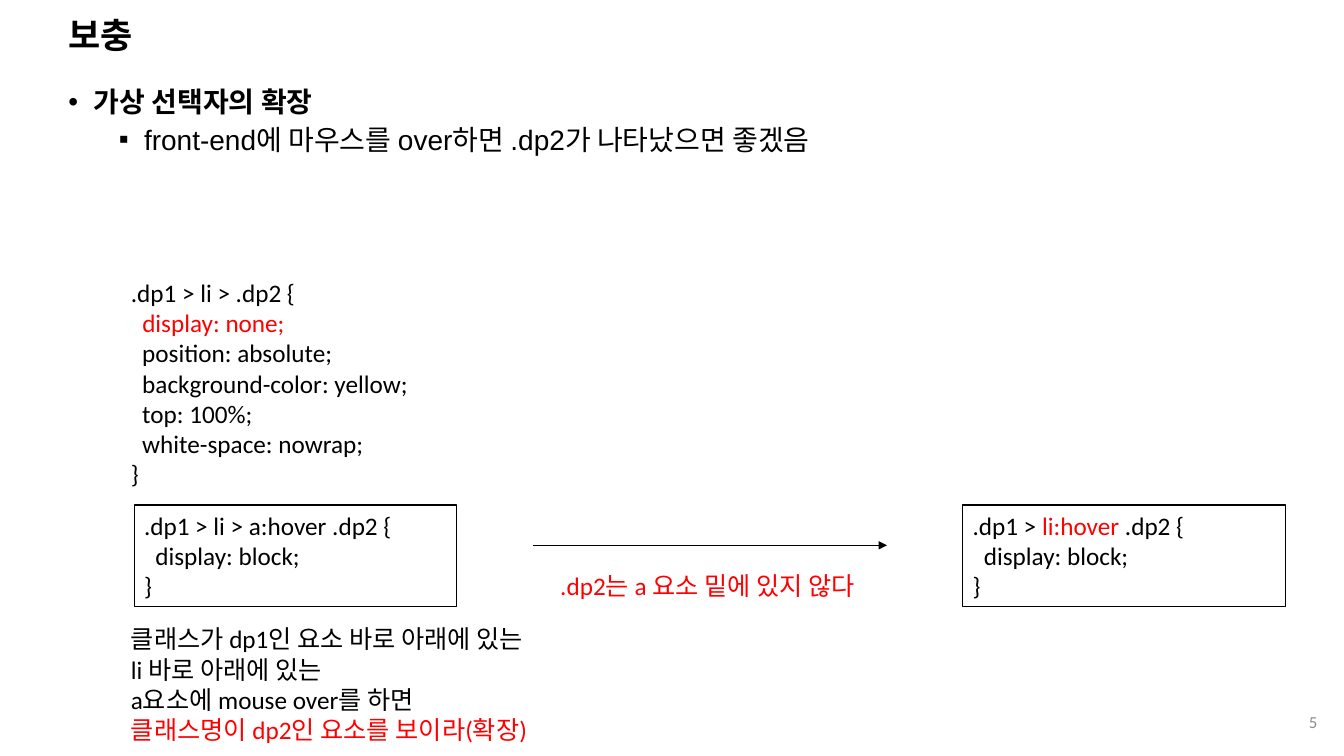
from lxml import etree
from pptx import Presentation
from pptx.dml.color import RGBColor
from pptx.enum.shapes import MSO_CONNECTOR, MSO_SHAPE
from pptx.enum.text import MSO_ANCHOR, MSO_AUTO_SIZE, PP_ALIGN
from pptx.oxml.ns import qn
from pptx.util import Pt

LEFT, RIGHT = PP_ALIGN.LEFT, PP_ALIGN.RIGHT
TOP, MIDDLE = MSO_ANCHOR.TOP, MSO_ANCHOR.MIDDLE
FIT, FIXED = MSO_AUTO_SIZE.SHAPE_TO_FIT_TEXT, MSO_AUTO_SIZE.NONE
RECT, STRAIGHT = MSO_SHAPE.RECTANGLE, MSO_CONNECTOR.STRAIGHT

COLORS = {"ink": "000000", "red": "FF0000", "gray": "8C8C8C"}

# Content: each line is a list of (text, color) runs
TITLE = [[("보충", "ink")]]
POINTS = [  # text, bold, bullet, indent, space before
    ("가상 선택자의 확장", True, "•", 18, 10),
    ("front-end에 마우스를 over하면 .dp2가 나타났으면 좋겠음", False, "▪", 54, 5),
]
HIDE = [
    [(".dp1 > li > .dp2 {", "ink")],
    [("  ", "ink"), ("display: none;", "red")],
    [("  position: absolute;", "ink")],
    [("  background-color: yellow;", "ink")],
    [("  top: 100%;", "ink")],
    [("  white-space: nowrap;", "ink")],
    [("}", "ink")],
]
SHOW = [[("  display: block;", "ink")], [("}", "ink")]]
BEFORE = [[(".dp1 > li > a:hover .dp2 {", "ink")]] + SHOW
AFTER = [[(".dp1 > ", "ink"), ("li:hover", "red"), (" .dp2 {", "ink")]] + SHOW
MEANING = [
    [("클래스가 dp1인 요소 바로 아래에 있는", "ink")],
    [("li 바로 아래에 있는", "ink")],
    [("a요소에 mouse over를 하면", "ink")],
    [("클래스명이 dp2인 요소를 보이라(확장)", "red")],
]
REASON = [[(".dp2는 a 요소 밑에 있지 않다", "red")]]
NUMBER = [[("5", "gray")]]

# Layout in points: left, top, width, height
TITLE_AT = (41.8, 13, 828, 27.4)
POINTS_AT = (41.8, 59.8, 859, 452)
NUMBER_AT = (678.2, 500.4, 270, 30.2)
HIDE_AT = (86.4, 194.4, 480, 160)
MEANING_AT = (86.4, 442, 322.6, 94.3)
REASON_AT = (393.1, 403.9, 240.5, 28.8)
RULE_Y, RULE_W, RULE_H = 360.7, 230.4, 72.7
RULES = [(95.8, BEFORE), (687.6, AFTER)]
ARROW = (380.9, 389.5, 633.6, 389.5)


def color(name):
    return RGBColor.from_string(COLORS[name])


def style(font, size, face, name, bold=False):
    font.size, font.name, font.bold = Pt(size), face, bold
    font.color.rgb = color(name)


def write(shape, lines, size=18, face="Calibri", bold=False, wrap=True,
          fit=FIT, anchor=TOP, align=LEFT):
    frame = shape.text_frame
    frame.word_wrap, frame.auto_size = wrap, fit
    frame.vertical_anchor = anchor
    for i, line in enumerate(lines):
        para = frame.add_paragraph() if i else frame.paragraphs[0]
        para.alignment = align
        for text, name in line:
            run = para.add_run()
            run.text = text
            style(run.font, size, face, name, bold)


def add_box(slide, at, lines, **opts):
    box = slide.shapes.add_textbox(*map(Pt, at))
    write(box, lines, **opts)


def add_rule(slide, left, lines):
    rect = slide.shapes.add_shape(
        RECT, *map(Pt, (left, RULE_Y, RULE_W, RULE_H)))
    rect.shadow.inherit = False
    rect.fill.background()
    rect.line.color.rgb = color("ink")
    rect.line.width = Pt(0.75)
    write(rect, lines)


def add_points(slide):
    frame = slide.shapes.add_textbox(*map(Pt, POINTS_AT)).text_frame
    frame.word_wrap = True
    for i, (text, bold, mark, indent, space) in enumerate(POINTS):
        para = frame.add_paragraph() if i else frame.paragraphs[0]
        para.level = i
        para.line_spacing = 0.9
        para.space_before = Pt(space if i else 0)
        props = para._p.get_or_add_pPr()
        props.set("marL", str(Pt(indent)))
        props.set("indent", str(Pt(-18)))
        etree.SubElement(props, qn("a:buFont"), typeface="Arial")
        etree.SubElement(props, qn("a:buChar"), char=mark)
        run = para.add_run()
        run.text = text
        style(run.font, 20, "Arial", "ink", bold)


def add_arrow(slide):
    arrow = slide.shapes.add_connector(STRAIGHT, *map(Pt, ARROW))
    arrow.line.color.rgb = color("ink")
    arrow.line.width = Pt(0.5)
    etree.SubElement(arrow.line._get_or_add_ln(), qn("a:tailEnd"),
                     type="triangle")
    etree.SubElement(arrow._element.spPr, qn("a:effectLst"))


def main():
    deck = Presentation()
    deck.slide_width, deck.slide_height = Pt(960), Pt(540)
    slide = deck.slides.add_slide(deck.slide_layouts[5])

    # Title and bullet points
    title = slide.shapes.title
    title.left, title.top, title.width, title.height = map(Pt, TITLE_AT)
    write(title, TITLE, size=25, face="Arial", bold=True, fit=FIXED,
          anchor=MIDDLE)
    title.text_frame.paragraphs[0].line_spacing = 0.9
    add_points(slide)
    add_box(slide, NUMBER_AT, NUMBER, size=12, fit=FIXED, anchor=MIDDLE,
            align=RIGHT)

    # Style rules and their explanation
    add_box(slide, HIDE_AT, HIDE)
    for left, lines in RULES:
        add_rule(slide, left, lines)
    add_box(slide, MEANING_AT, MEANING, wrap=False)
    add_box(slide, REASON_AT, REASON, wrap=False)
    add_arrow(slide)

    deck.save("out.pptx")


if __name__ == "__main__":
    main()
